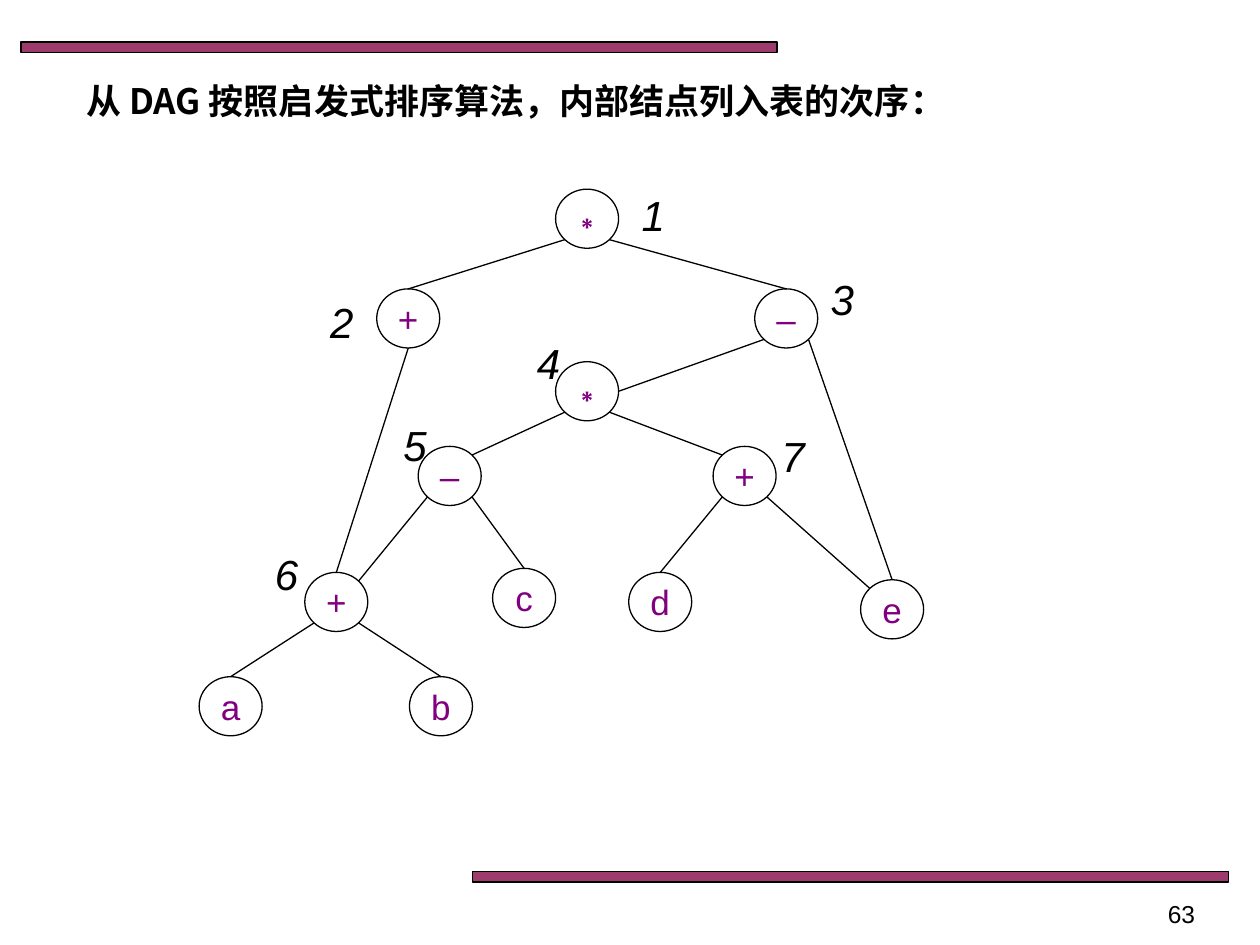
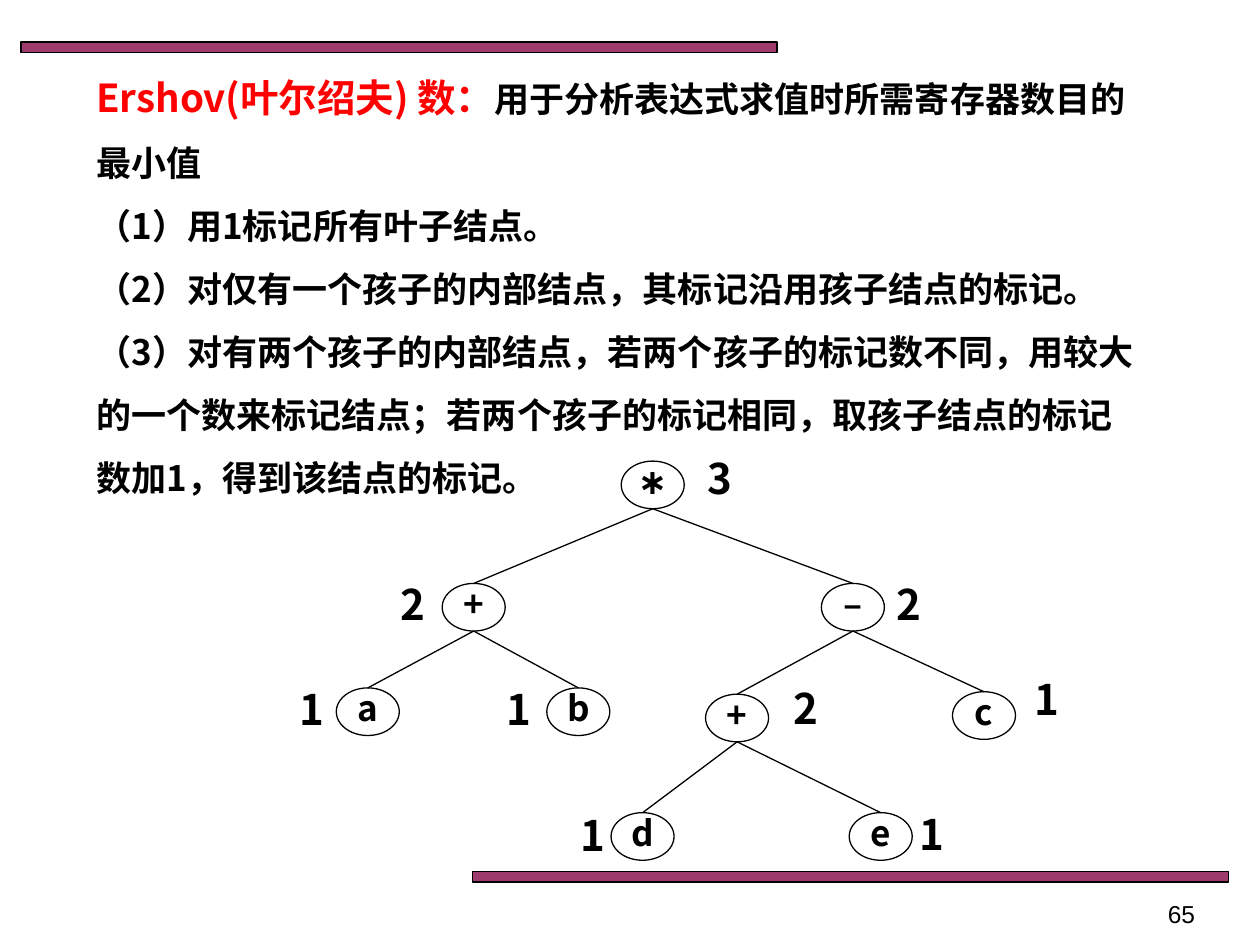
from lxml import etree
from pptx import Presentation
from pptx.dml.color import RGBColor
from pptx.enum.shapes import MSO_CONNECTOR, MSO_SHAPE
from pptx.enum.text import MSO_ANCHOR, MSO_AUTO_SIZE, PP_ALIGN
from pptx.oxml.ns import qn
from pptx.util import Pt

BLACK = RGBColor(0x00, 0x00, 0x00)
PURPLE = RGBColor(0x80, 0x00, 0x80)
RED = RGBColor(0xFF, 0x00, 0x00)
PLUM = RGBColor(0x99, 0x33, 0x66)
ARIAL, CJK = "Arial", "Noto Sans CJK SC"
LEFT, CENTER, RIGHT = PP_ALIGN.LEFT, PP_ALIGN.CENTER, PP_ALIGN.RIGHT
TOP, MIDDLE = MSO_ANCHOR.TOP, MSO_ANCHOR.MIDDLE
TITLE_ONLY, BLANK = 5, 6

BANDS = [(12, 24, 432, 6), (270, 498, 432, 6)]
PAGE_NUMBER_BOX = (522, 510, 168, 19.5)

DAG_TITLE = "从 DAG 按照启发式排序算法，内部结点列入表的次序："
ERSHOV_RULES = [
    [("Ershov(叶尔绍夫) 数：", 22, RED),
     ("用于分析表达式求值时所需寄存器数目的最小值", 20, BLACK)],
    [("（1）用1标记所有叶子结点。", 20, BLACK)],
    [("（2）对仅有一个孩子的内部结点，其标记沿用孩子结点的标记。", 20, BLACK)],
    [("（3）对有两个孩子的内部结点，若两个孩子的标记数不同，用较大的一个数来标记结点；"
      "若两个孩子的标记相同，取孩子结点的标记数加1，得到该结点的标记。", 20, BLACK)],
]

# name: (symbol, centre x, centre y, label, label left, label top)
DAG_NODES = {
    "n1": ("∗", 335.5, 125, "1", 359.3, 108),
    "n2": ("+", 233.3, 182, "2", 181.4, 169.2),
    "n3": ("–", 449.3, 182, "3", 467.3, 156.2),
    "n4": ("∗", 335.5, 223.6, "4", 299.5, 193),
    "n5": ("–", 257, 272, "5", 223.2, 239.8),
    "n6": ("+", 192.2, 344, "6", 149.8, 313.2),
    "n7": ("+", 425.5, 272, "7", 439.2, 246.2),
    "a": ("a", 131.8, 403.6, None, 0, 0),
    "b": ("b", 252, 403.6, None, 0, 0),
    "c": ("c", 299.5, 341.7, None, 0, 0),
    "d": ("d", 377.3, 344, None, 0, 0),
    "e": ("e", 509.8, 348.2, None, 0, 0),
}
# parent, side it leaves from, child, side it reaches
DAG_EDGES = [
    ("n1", "SE", "n3", "N"), ("n1", "SW", "n2", "N"), ("n2", "S", "n6", "N"),
    ("n3", "SW", "n4", "E"), ("n4", "SE", "n7", "NW"), ("n4", "SW", "n5", "NE"),
    ("n3", "SE", "e", "N"), ("n7", "SE", "e", "NW"), ("n7", "SW", "d", "N"),
    ("n5", "SE", "c", "N"), ("n5", "SW", "n6", "NE"), ("n6", "SE", "b", "N"),
    ("n6", "SW", "a", "N"),
]
ERSHOV_NODES = {
    "product": ("∗", 373, 277.1, "3", 397.4, 264.2),
    "a+b": ("+", 270.7, 347, "2", 221.8, 336.2),
    "difference": ("–", 487.4, 347, "2", 505.4, 336.2),
    "d+e": ("+", 421.2, 410.3, "2", 446.4, 395.3),
    "a": ("a", 210.2, 406.7, "1", 164.2, 396),
    "b": ("b", 330.5, 406.7, "1", 282.2, 396),
    "c": ("c", 562.3, 408.9, "1", 583.9, 390.2),
    "d": ("d", 367.2, 478, "1", 324.7, 468),
    "e": ("e", 503.3, 478, "1", 518.4, 467.3),
}
ERSHOV_CHILDREN = {"product": ("difference", "a+b"), "a+b": ("a", "b"),
                   "difference": ("d+e", "c"), "d+e": ("d", "e")}
ERSHOV_EDGES = [(parent, "S", child, "N")
                for parent, children in ERSHOV_CHILDREN.items() for child in children]

DAG_STYLE = dict(node=(36, 33.8), label=(28, 29), align=CENTER, spacing=None,
                 node_font=dict(size=20, color=PURPLE, name=ARIAL),
                 label_font=dict(size=24, name=ARIAL, italic=True))
ERSHOV_STYLE = dict(node=(36, 27.2), label=(28, 23), align=LEFT, spacing=0.8,
                    node_font=dict(size=20, name=CJK, bold=True),
                    label_font=dict(size=24, name=CJK, bold=True))

DIAGONAL = 0.5 ** 0.5
SIDES = {"N": (0, -1), "S": (0, 1), "E": (1, 0),
         "NE": (DIAGONAL, -DIAGONAL), "NW": (-DIAGONAL, -DIAGONAL),
         "SE": (DIAGONAL, DIAGONAL), "SW": (-DIAGONAL, DIAGONAL)}


def points(*lengths):
    return [Pt(v) for v in lengths]


def style_run(r, size, name, color=BLACK, bold=False, italic=False):
    font = r.font
    font.size, font.name, font.bold, font.italic = Pt(size), name, bold, italic
    font.color.rgb = color
    etree.SubElement(r._r.get_or_add_rPr(), qn("a:ea")).set("typeface", name)


def set_text(s, text, font, align=LEFT, anchor=TOP, spacing=None):
    tf = s.text_frame
    tf.text = text
    tf.auto_size = MSO_AUTO_SIZE.NONE
    tf.vertical_anchor = anchor
    p = tf.paragraphs[0]
    p.alignment = align
    if spacing:
        p.line_spacing = spacing
    style_run(p.runs[0], **font)
    return tf


def outline(s):
    s.shadow.inherit = False
    s.line.color.rgb = BLACK
    s.line.width = Pt(0.75)


def add_framed_slide(prs, layout, page):
    slide = prs.slides.add_slide(prs.slide_layouts[layout])
    for box in BANDS:
        s = slide.shapes.add_shape(MSO_SHAPE.RECTANGLE, *points(*box))
        outline(s)
        s.fill.solid()
        s.fill.fore_color.rgb = PLUM
        color = s._element.spPr.find(qn("a:solidFill"))[0]
        etree.SubElement(color, qn("a:alpha")).set("val", "96000")
    s = slide.shapes.add_textbox(*points(*PAGE_NUMBER_BOX))
    set_text(s, page, dict(size=14, name=ARIAL), RIGHT).word_wrap = True
    return slide


def add_graph(slide, nodes, edges, style):
    """Draw each node with its number, then the edges between rims."""
    width, height = style["node"]
    spacing = style["spacing"]

    def rim(node, side):
        x, y = nodes[node][1:3]
        dx, dy = SIDES[side]
        return points(x + dx * width / 2, y + dy * height / 2)

    for symbol, x, y, label, label_x, label_y in nodes.values():
        s = slide.shapes.add_shape(
            MSO_SHAPE.OVAL, *points(x - width / 2, y - height / 2, width, height))
        outline(s)
        s.fill.background()
        tf = set_text(s, symbol, style["node_font"], CENTER, MIDDLE, spacing)
        tf.word_wrap = False
        tf.margin_top = tf.margin_bottom = 0
        if label:
            s = slide.shapes.add_textbox(*points(label_x, label_y, *style["label"]))
            tf = set_text(s, label, style["label_font"], style["align"], spacing=spacing)
            tf.word_wrap = True
            tf.margin_top = tf.margin_bottom = 0

    for parent, leaving, child, reaching in edges:
        line = slide.shapes.add_connector(
            MSO_CONNECTOR.STRAIGHT, *rim(parent, leaving), *rim(child, reaching))
        line.line.color.rgb = BLACK
        line.line.width = Pt(0.75)
        etree.SubElement(line._element.spPr, qn("a:effectLst"))


def add_dag_slide(prs):
    slide = add_framed_slide(prs, TITLE_ONLY, "63")
    title = slide.shapes.title
    title.left, title.top, title.width, title.height = points(42, 42, 642, 31.5)
    set_text(title, DAG_TITLE, dict(size=20, name=CJK, bold=True))
    add_graph(slide, DAG_NODES, DAG_EDGES, DAG_STYLE)


def add_ershov_slide(prs):
    slide = add_framed_slide(prs, BLANK, "65")
    tf = slide.shapes.add_textbox(*points(48, 25.5, 613, 269)).text_frame
    tf.word_wrap = True
    for i, rule in enumerate(ERSHOV_RULES):
        p = tf.add_paragraph() if i else tf.paragraphs[0]
        p.line_spacing = 1.5
        for text, size, color in rule:
            r = p.add_run()
            r.text = text
            style_run(r, size, CJK, color, bold=True)
    add_graph(slide, ERSHOV_NODES, ERSHOV_EDGES, ERSHOV_STYLE)


def main():
    prs = Presentation()
    prs.slide_width, prs.slide_height = points(720, 540)
    add_dag_slide(prs)
    add_ershov_slide(prs)
    prs.save("out.pptx")


if __name__ == "__main__":
    main()
